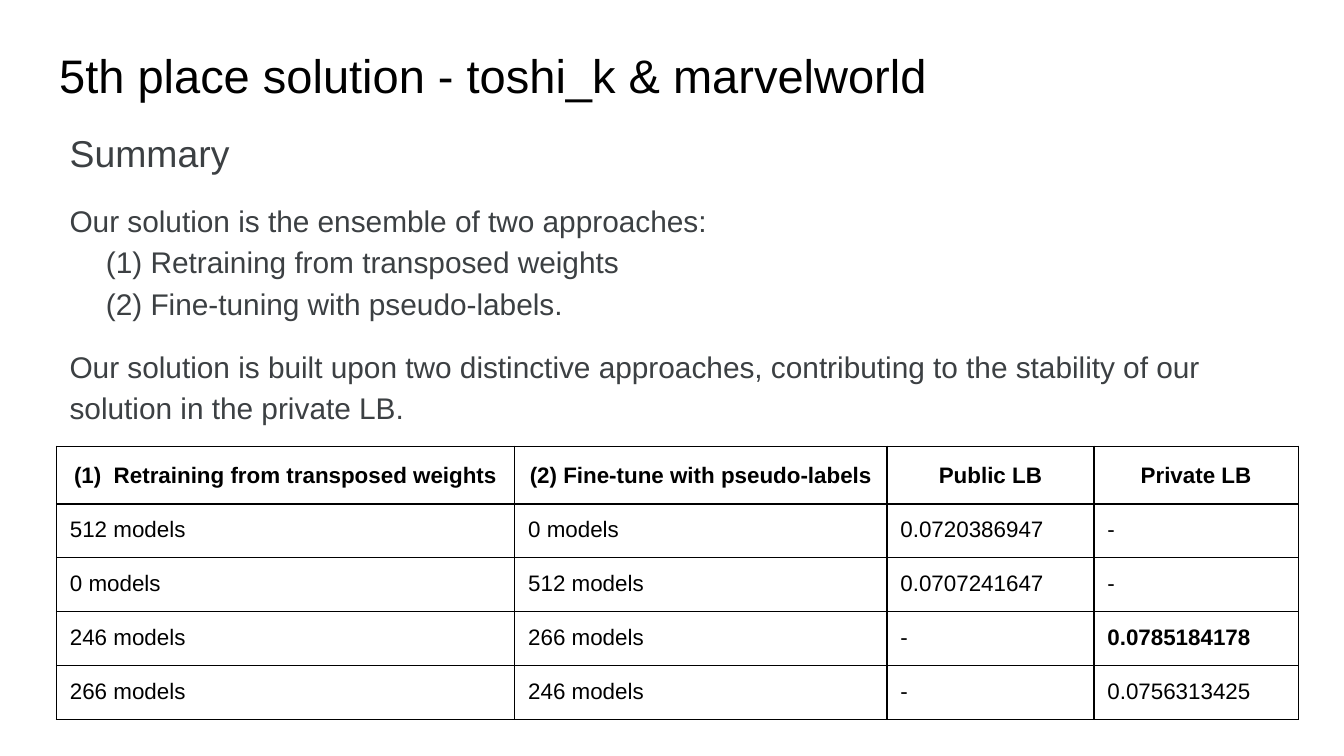
from lxml import etree
from pptx import Presentation
from pptx import util as u
from pptx.dml.color import RGBColor
from pptx.enum import text
from pptx.oxml.ns import qn

TITLE = "5th place solution - toshi_k & marvelworld"
SUMMARY = [
    ("Summary", 20, 0, 0),
    ("Our solution is the ensemble of two approaches:", 16, 12, 0),
    ("(1) Retraining from transposed weights", 16, 0, 0.27),
    ("(2) Fine-tuning with pseudo-labels.", 16, 0, 0.27),
    ("Our solution is built upon two distinctive approaches, contributing to "
     "the stability of our solution in the private LB.", 16, 12, 0),
]
RESULTS = [
    ["(1)  Retraining from transposed weights", "(2) Fine-tune with pseudo-labels",
     "Public LB", "Private LB"],
    ["512 models", "0 models", "0.0720386947", "-"],
    ["0 models", "512 models", "0.0707241647", "-"],
    ["246 models", "266 models", "-", "0.0785184178"],
    ["266 models", "246 models", "-", "0.0756313425"],
]
BEST = "0.0785184178"
COLUMN_WIDTHS = [3.41, 2.77, 1.54, 1.52]
ROW_HEIGHTS = [0.29] + [0.27] * 4
MARGINS = ("margin_left", "margin_right", "margin_top", "margin_bottom")
BLACK, GREY = "000000", "3C4043"


def place(item, *bounds):
    for name, value in zip(("left", "top", "width", "height"), bounds):
        setattr(item, name, u.Inches(value))


def set_margins(holder):
    for name in MARGINS:
        setattr(holder, name, u.Inches(0.1))


def write(para, words, size, color, bold=False, **layout):
    for name, value in layout.items():
        setattr(para, name, value)
    span = para.add_run()
    span.text = words
    for name, value in {"name": "Arial", "size": u.Pt(size), "bold": bold}.items():
        setattr(span.font, name, value)
    span.font.color.rgb = RGBColor.from_string(color)


def add_borders(cell, color, width):
    properties = cell._tc.get_or_add_tcPr()
    for index, side in enumerate(("lnL", "lnR", "lnT", "lnB")):
        line = etree.Element(qn(f"a:{side}"), w=str(u.Pt(width)))
        fill = etree.SubElement(line, qn("a:solidFill"))
        etree.SubElement(fill, qn("a:srgbClr"), val=color)
        properties.insert(index, line)


def add_title(slide):
    title = slide.shapes.title
    place(title, 0.34, 0.24, 9.32, 0.63)
    frame = title.text_frame
    set_margins(frame)
    frame.auto_size = text.MSO_AUTO_SIZE.NONE
    frame.vertical_anchor = text.MSO_ANCHOR.MIDDLE
    write(frame.paragraphs[0], TITLE, 25.2, BLACK, alignment=text.PP_ALIGN.LEFT)


def add_summary(slide):
    box = slide.shapes.add_textbox(*map(u.Inches, (0.42, 0.82, 8.73, 1.81)))
    frame = box.text_frame
    frame.word_wrap = True
    set_margins(frame)
    for index, (words, size, before, indent) in enumerate(SUMMARY):
        para = frame.add_paragraph() if index else frame.paragraphs[0]
        if indent:
            para._p.get_or_add_pPr().set("marL", str(u.Inches(indent)))
        write(para, words, size, GREY, line_spacing=1.15, space_before=u.Pt(before))


def add_results(slide):
    bounds = (0.42, 3.32, sum(COLUMN_WIDTHS), sum(ROW_HEIGHTS))
    table = slide.shapes.add_table(
        len(RESULTS), len(COLUMN_WIDTHS), *map(u.Inches, bounds)).table
    for column, width in zip(table.columns, COLUMN_WIDTHS):
        column.width = u.Inches(width)
    for index, (row, height, values) in enumerate(zip(table.rows, ROW_HEIGHTS, RESULTS)):
        row.height = u.Inches(height)
        header = index == 0
        layout = {"alignment": text.PP_ALIGN.CENTER, "line_spacing": 1.15} if header else {}
        for cell, value in zip(row.cells, values):
            set_margins(cell)
            cell.fill.background()
            add_borders(cell, BLACK, 0.75)
            write(cell.text_frame.paragraphs[0], value, 12, BLACK,
                  header or value == BEST, **layout)


def main():
    deck = Presentation()
    deck.slide_width, deck.slide_height = u.Inches(10), u.Inches(10) * 9 // 16
    slide = deck.slides.add_slide(deck.slide_layouts.get_by_name("Title Only"))
    add_title(slide)
    add_summary(slide)
    add_results(slide)
    deck.save("out.pptx")


if __name__ == "__main__":
    main()
